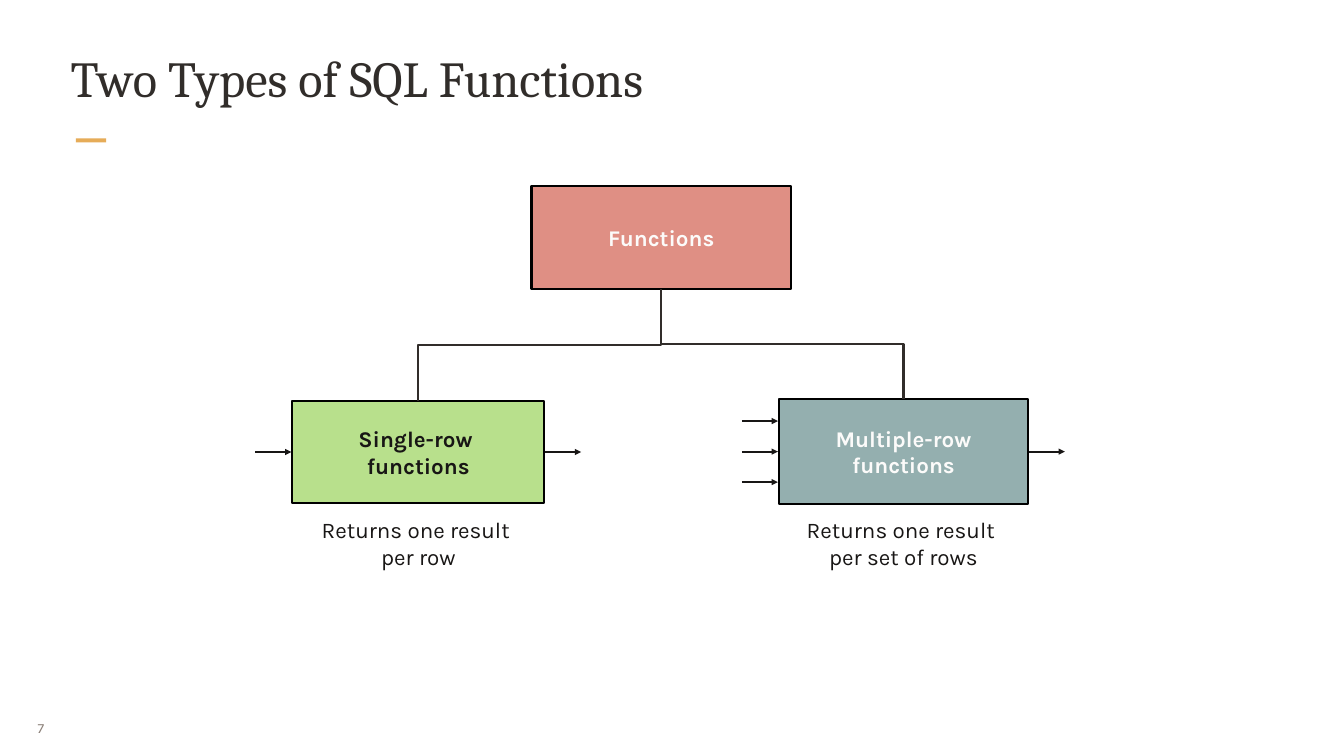
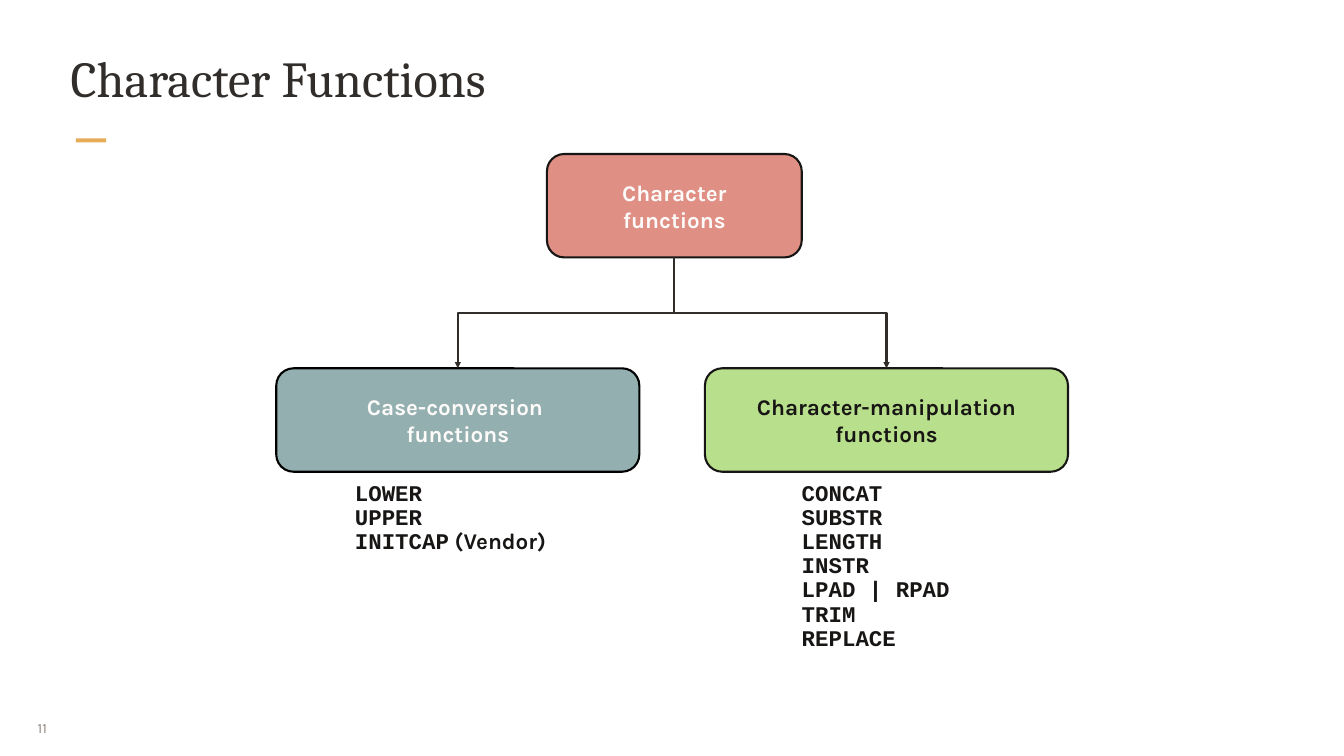
import pptx
import pptx.dml.color
import pptx.enum.shapes
import pptx.enum.text
import pptx.oxml
import pptx.oxml.ns
import pptx.util
from dataclasses import dataclass

Pt = pptx.util.Pt
SHAPE = pptx.enum.shapes.MSO_SHAPE
CONNECTOR = pptx.enum.shapes.MSO_CONNECTOR
ALIGN = pptx.enum.text.PP_ALIGN
ANCHOR = pptx.enum.text.MSO_ANCHOR


@dataclass(frozen=True)
class Theme:
    title_font: str = "Cambria"
    body_font: str = "Karla"
    code_font: str = "Courier New"
    title_size: int = 54
    body_size: int = 24
    number_size: int = 15
    line_width: float = 2.25
    charcoal: str = "312D2A"
    ink: str = "181615"
    black: str = "000000"
    paper: str = "FCFBFA"
    amber: str = "E6AC58"
    taupe: str = "8B8078"
    coral: str = "DF8F84"
    green: str = "B8E08C"
    teal: str = "94AFAF"


THEME = Theme()

# Places are left, top, width, height in points.
PAGES = [
    {
        "title": "Two Types of SQL Functions",
        "number": "7",
        "shape": SHAPE.RECTANGLE,
        "arrowheads": False,
        "root": {"lines": ["Functions"], "place": (569.5, 199.4, 278, 110.2),
                 "fill": THEME.coral, "color": THEME.paper, "line": THEME.black},
        "branches": [
            {"lines": ["Single-row ", "functions"], "place": (313.2, 430, 270, 108.6),
             "fill": THEME.green, "color": THEME.ink, "line": THEME.black,
             "inputs": 1,
             "caption": ["Returns one result ", "per row"],
             "caption_place": (265, 553, 366.5, 57.6)},
            {"lines": ["Multiple-row", "functions"], "place": (834.5, 427.7, 267, 112.3),
             "fill": THEME.teal, "color": THEME.paper, "line": THEME.black,
             "inputs": 3,
             "caption": ["Returns one result ", "per set of rows"],
             "caption_place": (760.3, 553, 415.4, 57.6)},
        ],
    },
    {
        "title": "Character Functions",
        "number": "11",
        "shape": SHAPE.ROUNDED_RECTANGLE,
        "arrowheads": True,
        "root": {"lines": ["Character", "functions"], "place": (586, 165, 273, 110.8),
                 "fill": THEME.coral, "color": THEME.paper, "line": THEME.ink},
        "branches": [
            {"lines": ["Case-conversion ", "functions"], "place": (296, 394.6, 389, 110.8),
             "fill": THEME.teal, "color": THEME.paper, "line": THEME.black,
             "members": ["LOWER", "UPPER", ("INITCAP", " (Vendor)")],
             "members_place": (369.4, 510.5, 242, 90)},
            {"lines": ["Character-manipulation", "functions"],
             "place": (755.3, 394.6, 389, 110.8),
             "fill": THEME.green, "color": THEME.ink, "line": THEME.ink,
             "members": ["CONCAT", "SUBSTR", "LENGTH", "INSTR", "LPAD | RPAD",
                         "TRIM", "REPLACE"],
             "members_place": (848.2, 510.5, 203, 195)},
        ],
    },
]

ARROW_LENGTH = 38.5
ARROW_GAP = 1
INPUT_STEP = 32.7


def points(values):
    return [Pt(value) for value in values]


def rgb(code):
    return pptx.dml.color.RGBColor.from_string(code)


def write(box, lines, font, size, color, bold=False, align=ALIGN.LEFT,
          anchor=ANCHOR.TOP, wrap=False, insets=(7.2, 3.6), spacing=None):
    """Fill a box; a line is a string or a pair whose second part uses the body font."""
    frame = box.text_frame
    frame.word_wrap = wrap
    frame.vertical_anchor = anchor
    frame.margin_left = frame.margin_right = Pt(insets[0])
    frame.margin_top = frame.margin_bottom = Pt(insets[1])
    for index, line in enumerate(lines):
        para = frame.add_paragraph() if index else frame.paragraphs[0]
        para.alignment = align
        if spacing:
            para.line_spacing = spacing
        parts = (line,) if isinstance(line, str) else line
        for text, name in zip(parts, (font, THEME.body_font)):
            span = para.add_run()
            span.text = text
            span.font.name = name
            span.font.size = Pt(size)
            span.font.bold = bold
            span.font.color.rgb = rgb(color)


def add_text(page, place, lines, font, size, color, **options):
    box = page.shapes.add_textbox(*points(place))
    write(box, lines, font, size, color, **options)


def add_block(page, kind, place, fill, line=None):
    block = page.shapes.add_shape(kind, *points(place))
    block.shadow.inherit = False
    block.fill.solid()
    block.fill.fore_color.rgb = rgb(fill)
    if line:
        block.line.color.rgb = rgb(line)
        block.line.width = Pt(THEME.line_width)
    else:
        block.line.fill.background()
    return block


def add_node(page, kind, node):
    block = add_block(page, kind, node["place"], node["fill"], node["line"])
    write(block, node["lines"], THEME.body_font, THEME.body_size, node["color"],
          bold=True, align=ALIGN.CENTER, anchor=ANCHOR.MIDDLE)
    return block


def style_connector(connector, color, arrowhead):
    connector.line.color.rgb = rgb(color)
    connector.line.width = Pt(THEME.line_width)
    if arrowhead:
        head = pptx.oxml.parse_xml(
            f'<a:tailEnd {pptx.oxml.ns.nsdecls("a")} type="triangle"/>')
        connector.line._get_or_add_ln().append(head)
    effects = pptx.oxml.parse_xml(f'<a:effectLst {pptx.oxml.ns.nsdecls("a")}/>')
    connector._element.spPr.append(effects)


def add_arrow(page, start, end, y):
    arrow = page.shapes.add_connector(CONNECTOR.STRAIGHT, *points((start, y, end, y)))
    style_connector(arrow, THEME.ink, True)


def add_branch_line(page, parent, child, arrowhead):
    """Join parent bottom to child top with an elbow that leaves downwards."""
    start_x = parent.left + parent.width // 2
    start_y = parent.top + parent.height
    end_x = child.left + child.width // 2
    end_y = child.top
    elbow = page.shapes.add_connector(CONNECTOR.ELBOW, start_x, start_y, end_x, end_y)
    elbow.begin_connect(parent, 2)
    elbow.end_connect(child, 0)
    # The elbow is a horizontal one, turned a quarter about its centre.
    run, drop = abs(end_x - start_x), end_y - start_y
    elbow.left = (start_x + end_x - drop) // 2
    elbow.top = (start_y + end_y - run) // 2
    elbow.width, elbow.height = drop, run
    goes_left = end_x < start_x
    frame = elbow._element.spPr.xfrm
    frame.set("rot", str((90 if goes_left else 270) * 60000))
    frame.set("flipH", "0" if goes_left else "1")
    style_connector(elbow, THEME.charcoal, arrowhead)


def add_flow_arrows(page, place, inputs):
    left, top, width, height = place
    middle = top + height / 2
    tip = left - ARROW_GAP
    for index in range(inputs):
        y = middle + (index - (inputs - 1) / 2) * INPUT_STEP
        add_arrow(page, tip - ARROW_LENGTH, tip, y)
    tail = left + width + ARROW_GAP
    add_arrow(page, tail, tail + ARROW_LENGTH, middle)


def add_common_parts(page, title, number):
    add_block(page, SHAPE.RECTANGLE, (81.4, 148.3, 32.4, 4.3), THEME.amber)
    add_text(page, (31, 759, 46.8, 41.8), [number], THEME.body_font,
             THEME.number_size, THEME.taupe, align=ALIGN.JUSTIFY,
             anchor=ANCHOR.MIDDLE, insets=(9.4, 5))
    add_text(page, (73.4, 48.2, 1293, 92.2), [title], THEME.title_font,
             THEME.title_size, THEME.charcoal, wrap=True, insets=(2.2, 2.2))


def add_tree(page, content):
    root = add_node(page, content["shape"], content["root"])
    for branch in content["branches"]:
        child = add_node(page, content["shape"], branch)
        add_branch_line(page, root, child, content["arrowheads"])
        if "inputs" in branch:
            add_flow_arrows(page, branch["place"], branch["inputs"])
        if "caption" in branch:
            add_text(page, branch["caption_place"], branch["caption"],
                     THEME.body_font, THEME.body_size, THEME.ink,
                     align=ALIGN.CENTER, anchor=ANCHOR.MIDDLE)
        if "members" in branch:
            add_text(page, branch["members_place"], branch["members"],
                     THEME.code_font, THEME.body_size, THEME.ink, bold=True,
                     wrap=True, insets=(10.8, 5.8), spacing=0.9)


def main():
    deck = pptx.Presentation()
    deck.slide_width, deck.slide_height = points((1440, 810))
    for content in PAGES:
        page = deck.slides.add_slide(deck.slide_layouts[6])
        add_common_parts(page, content["title"], content["number"])
        add_tree(page, content)
    deck.save("out.pptx")


if __name__ == "__main__":
    main()
